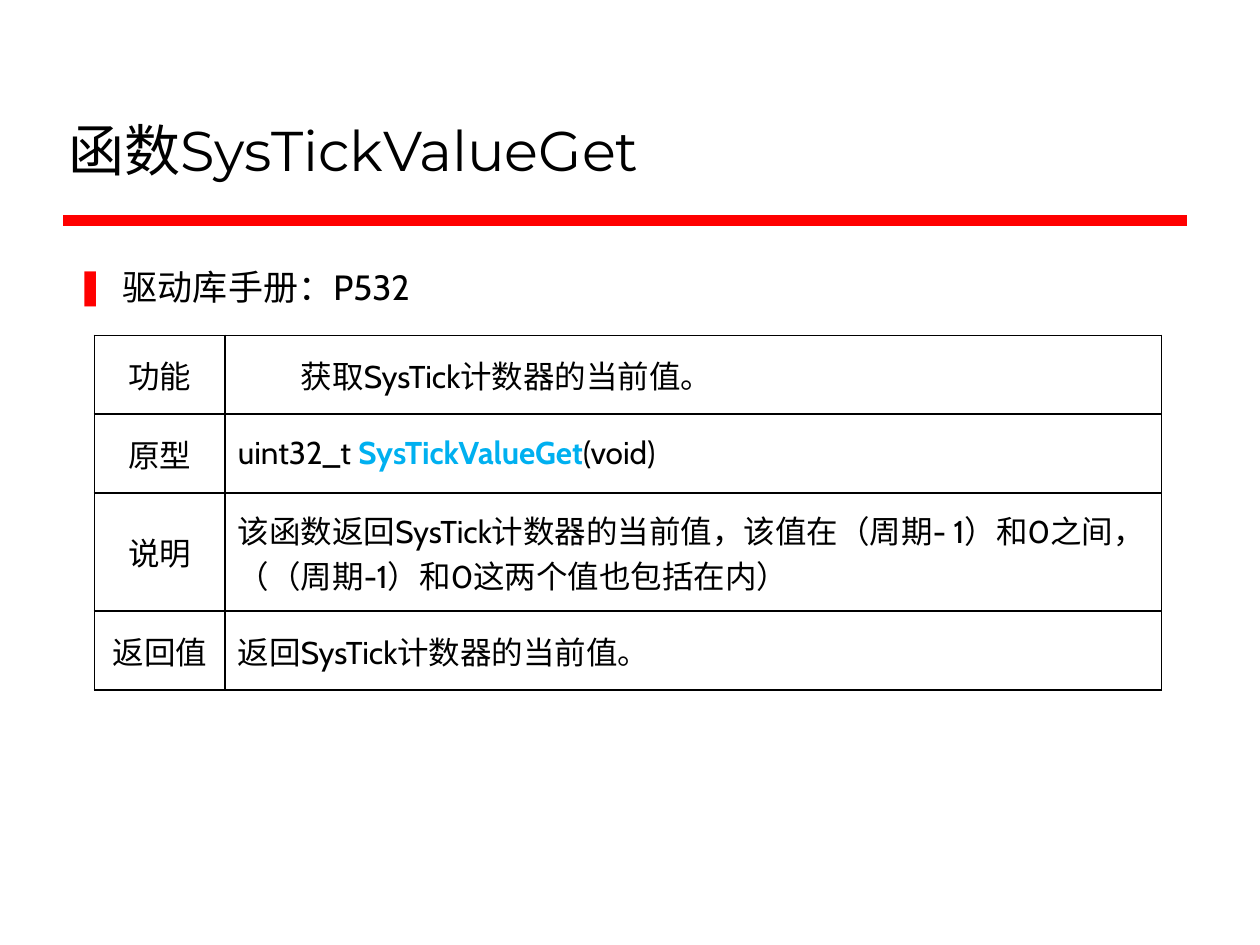
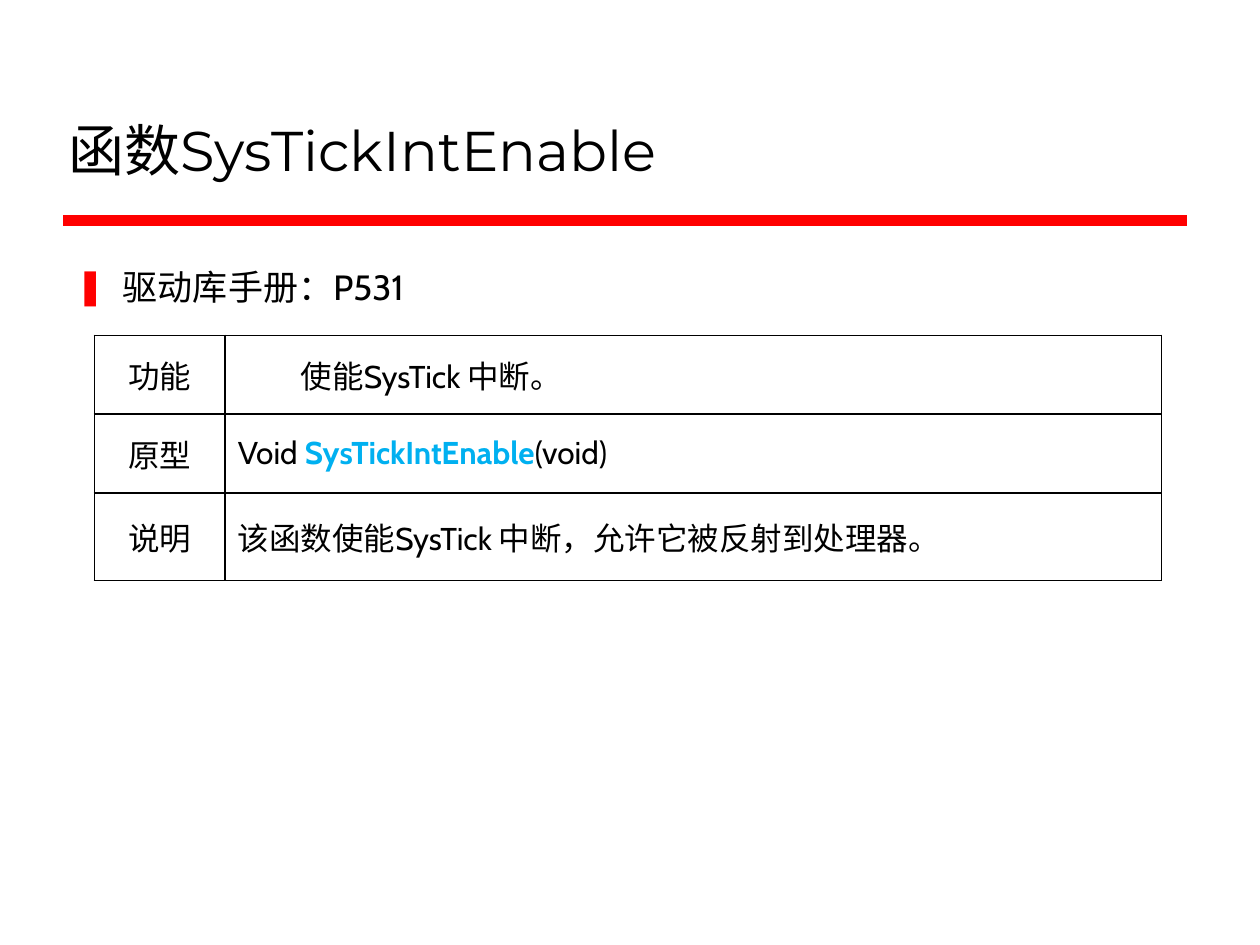
from dataclasses import dataclass

from lxml import etree
from pptx import Presentation
from pptx.dml.color import RGBColor
from pptx.enum.shapes import MSO_CONNECTOR
from pptx.enum.text import MSO_ANCHOR, PP_ALIGN
from pptx.oxml.ns import qn
from pptx.util import Cm, Pt

STRAIGHT = MSO_CONNECTOR.STRAIGHT
MIDDLE, BOTTOM = MSO_ANCHOR.MIDDLE, MSO_ANCHOR.BOTTOM
LEFT, CENTER = PP_ALIGN.LEFT, PP_ALIGN.CENTER


@dataclass(frozen=True)
class Theme:
    ink: str = "000000"
    accent: str = "FF0000"
    highlight: str = "00B0F0"
    heading_font: str = "Montserrat"
    text_font: str = "Cabin"
    title_size: int = 32
    body_size: int = 20
    table_size: int = 18
    rule_width: int = 6
    border_width: int = 1


@dataclass(frozen=True)
class Entry:
    label: str
    text: str
    height: float = 1.59
    function: str = ""
    arguments: str = ""


@dataclass(frozen=True)
class FunctionPage:
    function: str
    manual_page: str
    entries: tuple[Entry, ...]


THEME = Theme()
COLUMN_WIDTHS = (2.64, 18.87)
PAGES = (
    FunctionPage("SysTickValueGet", "P532", (
        Entry("功能", "获取SysTick计数器的当前值。"),
        Entry("原型", "uint32_t ", function="SysTickValueGet", arguments="(void)"),
        Entry("说明", "该函数返回SysTick计数器的当前值，该值在（周期- 1）和0之间，"
                      "（（周期-1）和0这两个值也包括在内）", 2.38),
        Entry("返回值", "返回SysTick计数器的当前值。"),
    )),
    FunctionPage("SysTickIntEnable", "P531", (
        Entry("功能", "使能SysTick 中断。"),
        Entry("原型", "Void ", function="SysTickIntEnable", arguments="(void)"),
        Entry("说明", "该函数使能SysTick 中断，允许它被反射到处理器。", 1.76),
    )),
)


def write(paragraph, text: str, *, size: int, font: str = THEME.text_font,
          color: str = THEME.ink, bold: bool = False, align=LEFT) -> None:
    paragraph.alignment = align
    run = paragraph.add_run()
    run.text = text
    run.font.name = font
    run.font.size = Pt(size)
    run.font.bold = bold
    run.font.color.rgb = RGBColor.from_string(color)


def place(shape, left: float, top: float, width: float, height: float) -> None:
    shape.left, shape.top = Cm(left), Cm(top)
    shape.width, shape.height = Cm(width), Cm(height)


def add_bullet(paragraph, character: str) -> None:
    properties = paragraph._p.get_or_add_pPr()
    bullet_color = etree.SubElement(properties, qn("a:buClr"))
    etree.SubElement(bullet_color, qn("a:srgbClr"), val=THEME.accent)
    etree.SubElement(properties, qn("a:buChar"), char=character)


def add_rule(slide) -> None:
    rule = slide.shapes.add_connector(STRAIGHT, Cm(1.27), Cm(4.45), Cm(23.93), Cm(4.45))
    rule.line.color.rgb = RGBColor.from_string(THEME.accent)
    rule.line.width = Pt(THEME.rule_width)
    etree.SubElement(rule._element.spPr, qn("a:effectLst"))


def format_cell(cell) -> None:
    cell.vertical_anchor = MIDDLE
    cell.fill.background()
    properties = cell._tc.get_or_add_tcPr()
    for position, side in enumerate(("lnL", "lnR", "lnT", "lnB")):
        border = etree.Element(qn(f"a:{side}"), w=str(Pt(THEME.border_width)))
        fill = etree.SubElement(border, qn("a:solidFill"))
        etree.SubElement(fill, qn("a:srgbClr"), val=THEME.ink)
        properties.insert(position, border)


def add_entry_table(slide, entries: tuple[Entry, ...]) -> None:
    table = slide.shapes.add_table(
        len(entries), len(COLUMN_WIDTHS), Cm(1.9), Cm(6.76),
        Cm(sum(COLUMN_WIDTHS)), Cm(sum(entry.height for entry in entries))).table
    table.first_row = table.horz_banding = False
    for column, width in zip(table.columns, COLUMN_WIDTHS):
        column.width = Cm(width)
    for row, entry in zip(table.rows, entries):
        row.height = Cm(entry.height)
        label_cell, detail_cell = row.cells
        format_cell(label_cell)
        format_cell(detail_cell)
        write(label_cell.text_frame.paragraphs[0], entry.label,
              size=THEME.table_size, align=CENTER)
        detail = detail_cell.text_frame.paragraphs[0]
        write(detail, entry.text, size=THEME.table_size)
        if entry.function:
            write(detail, entry.function, size=THEME.table_size,
                  color=THEME.highlight, bold=True)
            write(detail, entry.arguments, size=THEME.table_size)
    summary = table.cell(0, 1).text_frame.paragraphs[0]
    summary.level = 1
    summary.space_before = summary.space_after = Pt(6)


def add_function_page(deck, page: FunctionPage) -> None:
    slide = deck.slides.add_slide(deck.slide_layouts[1])
    add_rule(slide)
    title, body = slide.placeholders
    place(title, 1.12, 0.64, 22.78, 3.18)
    title.text_frame.vertical_anchor = BOTTOM
    write(title.text_frame.paragraphs[0], f"函数{page.function}",
          size=THEME.title_size, font=THEME.heading_font)
    place(body, 1.27, 5.23, 22.71, 11.58)
    reference = body.text_frame.paragraphs[0]
    write(reference, f"驱动库手册：{page.manual_page}", size=THEME.body_size)
    add_bullet(reference, "❚")
    add_entry_table(slide, page.entries)


def main() -> None:
    deck = Presentation()
    deck.slide_width, deck.slide_height = Cm(25.4), Cm(19.05)
    for page in PAGES:
        add_function_page(deck, page)
    deck.save("out.pptx")


main()
